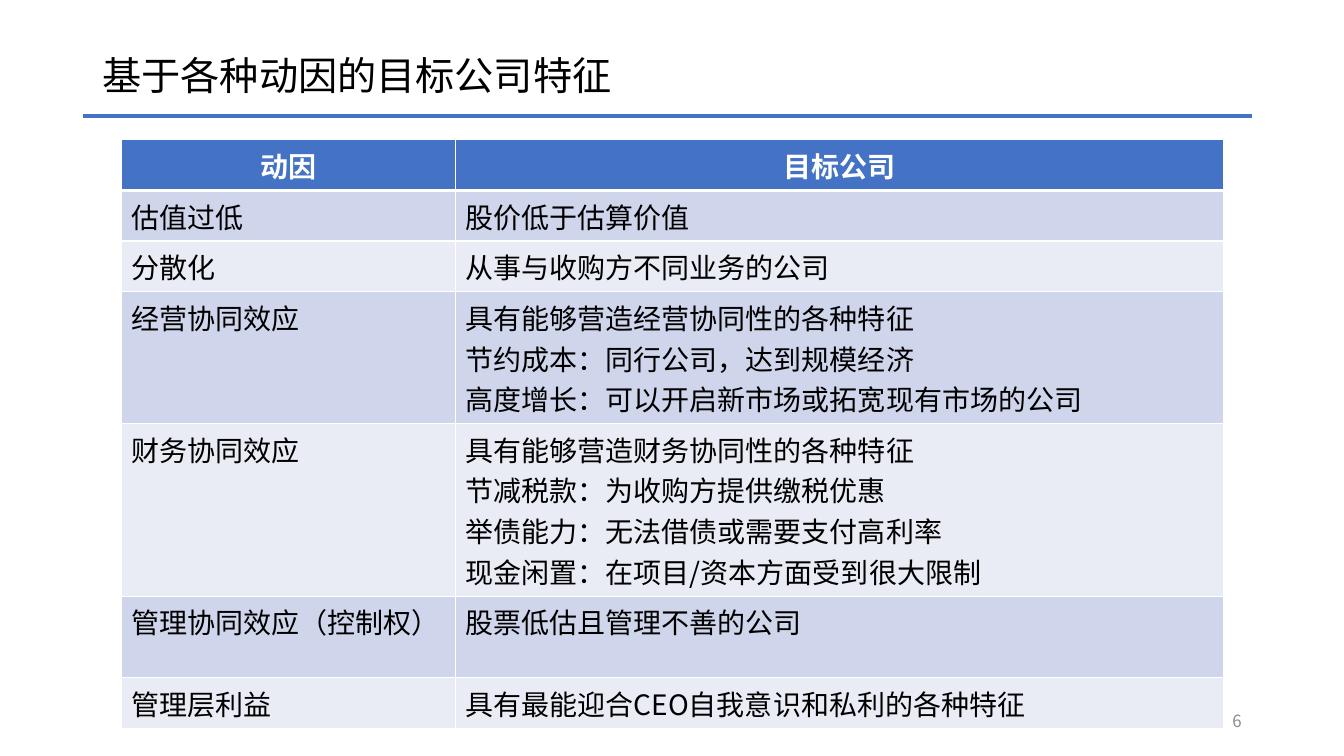
import pptx
import pptx.util
import pptx.dml.color
import pptx.enum.shapes
import pptx.enum.text
import pptx.oxml
import pptx.oxml.ns
import lxml.etree

Pt = pptx.util.Pt
RGBColor = pptx.dml.color.RGBColor
ALIGN = pptx.enum.text.PP_ALIGN
ANCHOR = pptx.enum.text.MSO_ANCHOR
qn = pptx.oxml.ns.qn

FONT = "Noto Sans CJK SC"
BLACK = RGBColor(0x00, 0x00, 0x00)
WHITE = RGBColor(0xFF, 0xFF, 0xFF)
GRAY = RGBColor(0x8C, 0x8C, 0x8C)
BLUE = RGBColor(0x44, 0x72, 0xC4)
BAND_DARK = RGBColor(0xCF, 0xD5, 0xEA)
BAND_LIGHT = RGBColor(0xE9, 0xEB, 0xF5)

ROWS = [
    (36.2, "动因", "目标公司"),
    (36.2, "估值过低", "股价低于估算价值"),
    (36.2, "分散化", "从事与收购方不同业务的公司"),
    (94.2, "经营协同效应",
     "具有能够营造经营协同性的各种特征\n"
     "节约成本：同行公司，达到规模经济\n"
     "高度增长：可以开启新市场或拓宽现有市场的公司"),
    (123.2, "财务协同效应",
     "具有能够营造财务协同性的各种特征\n"
     "节减税款：为收购方提供缴税优惠\n"
     "举债能力：无法借债或需要支付高利率\n"
     "现金闲置：在项目/资本方面受到很大限制"),
    (58.3, "管理协同效应（控制权）", "股票低估且管理不善的公司"),
    (36.2, "管理层利益", "具有最能迎合CEO自我意识和私利的各种特征"),
]
COLUMN_WIDTHS = [238.6, 548.6]


def write_text(text_frame, text, size, color, alignment=ALIGN.LEFT, bold=False):
    text_frame.text = text
    for paragraph in text_frame.paragraphs:
        paragraph.alignment = alignment
        for run in paragraph.runs:
            run.font.name = FONT
            run.font.size = Pt(size)
            run.font.bold = bold
            run.font.color.rgb = color
            east_asian = lxml.etree.Element(qn("a:ea"), typeface=FONT)
            run.font._element.find(qn("a:latin")).addnext(east_asian)


def add_border(cell, side, width):
    properties = cell._tc.get_or_add_tcPr()
    border = lxml.etree.SubElement(properties, qn("a:ln" + side), w=str(Pt(width)))
    fill = lxml.etree.SubElement(border, qn("a:solidFill"))
    lxml.etree.SubElement(fill, qn("a:srgbClr"), val=str(WHITE))


presentation = pptx.Presentation()
presentation.slide_width = Pt(960)
presentation.slide_height = Pt(540)
slide = presentation.slides.add_slide(presentation.slide_layouts[6])

title = slide.shapes.add_textbox(Pt(66.2), Pt(28.8), Pt(828), Pt(53.3))
title.text_frame.word_wrap = True
title.text_frame.vertical_anchor = ANCHOR.MIDDLE
write_text(title.text_frame, "基于各种动因的目标公司特征", 28, BLACK)
title.text_frame.paragraphs[0].line_spacing = 0.9

title_rule = slide.shapes.add_connector(
    pptx.enum.shapes.MSO_CONNECTOR.STRAIGHT, Pt(59.5), Pt(83), Pt(894.2), Pt(83))
title_rule.line.color.rgb = BLUE
title_rule.line.width = Pt(3)
lxml.etree.SubElement(title_rule._element.spPr, qn("a:effectLst"))

page_number = slide.shapes.add_textbox(Pt(678), Pt(500.5), Pt(216), Pt(28.8))
page_number.text_frame.word_wrap = True
page_number.text_frame.vertical_anchor = ANCHOR.MIDDLE
write_text(page_number.text_frame, "6", 12, GRAY, ALIGN.RIGHT)

table = slide.shapes.add_table(
    len(ROWS), len(COLUMN_WIDTHS), Pt(86.6), Pt(99.8),
    Pt(sum(COLUMN_WIDTHS)), Pt(sum(row[0] for row in ROWS))).table
for column, width in zip(table.columns, COLUMN_WIDTHS):
    column.width = Pt(width)

for row_index, (height, *texts) in enumerate(ROWS):
    table.rows[row_index].height = Pt(height)
    is_header = row_index == 0
    if is_header:
        fill_color, text_color, alignment = BLUE, WHITE, ALIGN.CENTER
    else:
        fill_color = BAND_DARK if row_index % 2 else BAND_LIGHT
        text_color, alignment = BLACK, ALIGN.LEFT
    for column_index, text in enumerate(texts):
        cell = table.cell(row_index, column_index)
        write_text(cell.text_frame, text, 20, text_color, alignment, is_header)
        add_border(cell, "L", 1)
        add_border(cell, "R", 1)
        add_border(cell, "T", 3 if row_index == 1 else 1)
        add_border(cell, "B", 3 if is_header else 1)
        cell.fill.solid()
        cell.fill.fore_color.rgb = fill_color

presentation.save("out.pptx")
